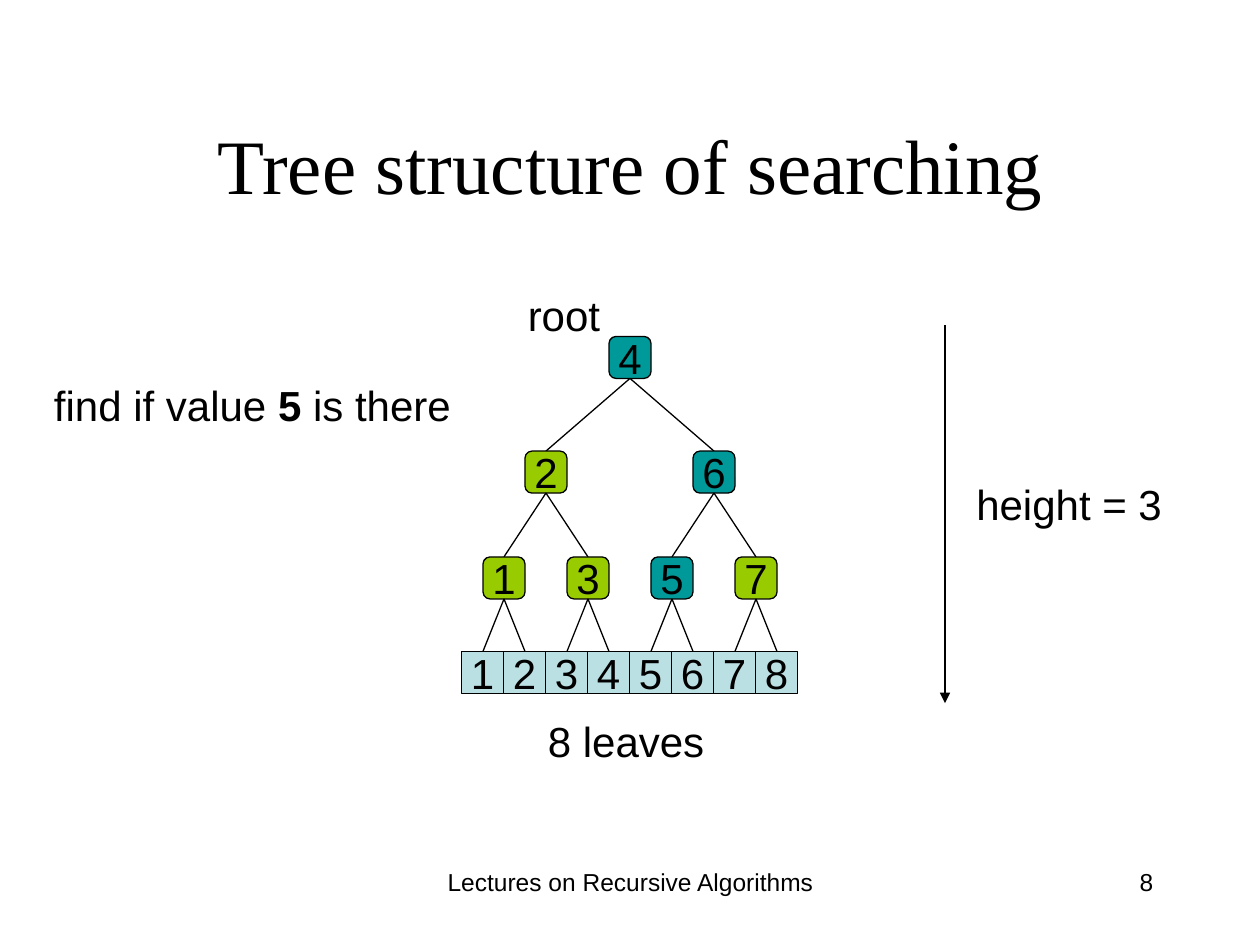
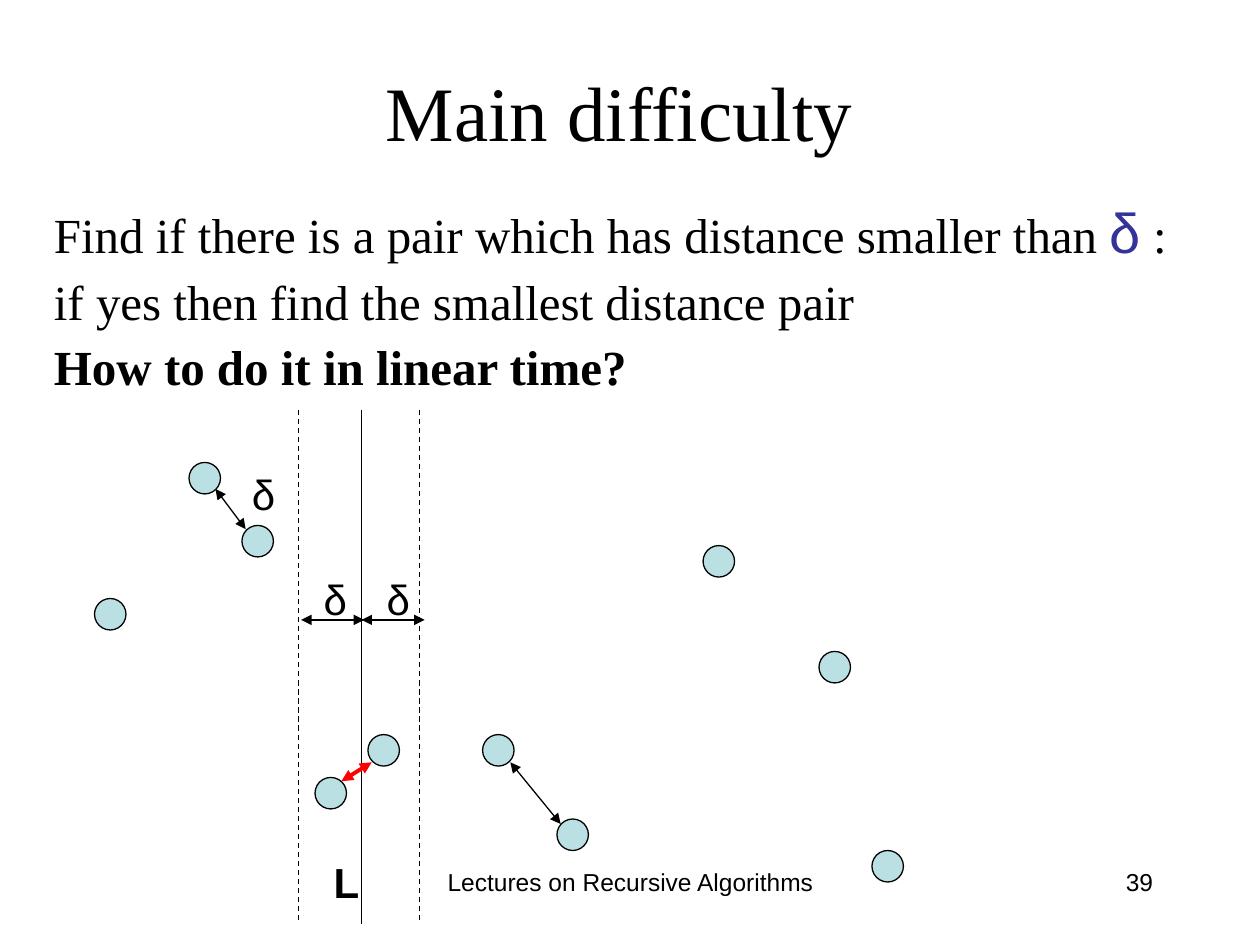
from dataclasses import dataclass
from lxml import etree
from pptx import Presentation
from pptx import util as u
from pptx.dml.color import RGBColor
from pptx.enum import dml, shapes, text
from pptx.oxml.ns import qn


@dataclass(frozen=True)
class Theme:
    ink: str = "000000"
    pale: str = "BBE0E3"
    lime: str = "99CC00"
    teal: str = "009999"
    blue: str = "333399"
    red: str = "FF0000"
    sans: str = "Arial"
    serif: str = "Times New Roman"
    title: int = 44
    symbol: int = 32
    body: int = 28
    label: int = 24
    foot: int = 14
    thin: float = 0.75
    thick: float = 2.25


T = Theme()
MID, LEFT, RIGHT = text.PP_ALIGN.CENTER, text.PP_ALIGN.LEFT, text.PP_ALIGN.RIGHT
BOX, ROUND, DOT = (shapes.MSO_SHAPE.RECTANGLE, shapes.MSO_SHAPE.ROUNDED_RECTANGLE,
                   shapes.MSO_SHAPE.OVAL)
LABEL = {"size": u.Pt(T.label), "name": T.sans}
BOLD = {**LABEL, "bold": True}
FOOT = {"size": u.Pt(T.foot), "name": T.sans}
TITLE = {"size": u.Pt(T.title), "name": T.serif}
BODY = {"size": u.Pt(T.body), "name": T.serif}
SYMBOL = {"size": u.Pt(T.symbol), "name": T.sans, "color": T.blue}
WRAP = {"word_wrap": True}
MIDDLE = {"word_wrap": True, "vertical_anchor": text.MSO_ANCHOR.MIDDLE}
CELL = {"word_wrap": False, "vertical_anchor": text.MSO_ANCHOR.MIDDLE}
FIT = {"word_wrap": False, "auto_size": text.MSO_AUTO_SIZE.SHAPE_TO_FIT_TEXT}


def put(page, at, rows=(), frame=FIT, para=None, kind=None, fill=T.pale):
    at = [u.Inches(n) for n in at]
    if kind is None:
        item = page.shapes.add_textbox(*at)
    else:
        item = page.shapes.add_shape(kind, *at)
        item.shadow.inherit = False
        item.fill.solid()
        item.fill.fore_color.rgb = RGBColor.from_string(fill)
        item.line.color.rgb = RGBColor.from_string(T.ink)
        item.line.width = u.Pt(T.thin)
    body = item.text_frame
    for key, value in frame.items():
        setattr(body, key, value)
    for i, row in enumerate(rows):
        line = body.add_paragraph() if i else body.paragraphs[0]
        for key, value in (para or {"alignment": LEFT}).items():
            setattr(line, key, value)
        for words, style in row:
            run = line.add_run()
            run.text = words
            for key, value in style.items():
                if key != "color":
                    setattr(run.font, key, value)
            run.font.color.rgb = RGBColor.from_string(style.get("color", T.ink))


def link(page, start, end, tips=(), color=T.ink, width=T.thin, dash=None):
    line = page.shapes.add_connector(
        shapes.MSO_CONNECTOR.STRAIGHT, *[u.Inches(n) for n in (*start, *end)])
    line.line.color.rgb = RGBColor.from_string(color)
    line.line.width = u.Pt(width)
    if dash:
        line.line.dash_style = dash
    props = line.element.spPr
    for tip in tips:
        etree.SubElement(props.find(qn("a:ln")), qn(f"a:{tip}"), type="triangle")
    etree.SubElement(props, qn("a:effectLst"))


deck = Presentation()
deck.slide_width, deck.slide_height = u.Inches(10), u.Inches(7.5)
pages = []
for name, number, left, top in (("Tree structure of searching", "8", 0.42, 0.67),
                                ("Main difficulty", "39", 0.33, 0.25)):
    page = deck.slides.add_slide(deck.slide_layouts[6])
    put(page, (3.42, 6.83, 3.17, 0.5), [[("Lectures on Recursive Algorithms", FOOT)]],
        WRAP, {"alignment": MID})
    put(page, (7.17, 6.83, 2.08, 0.5), [[(number, FOOT)]], WRAP, {"alignment": RIGHT})
    put(page, (left, top, 9.17, 1.25), [[(name, TITLE)]], MIDDLE, {"alignment": MID})
    pages.append(page)
tree, plane = pages

side = 1 / 3
tops = [2.67, 3.58, 4.42, 5.17]
levels = [[4], [2, 6], [1, 3, 5, 7]]
trail = {4, 6, 5}
for leaf in range(1, 9):
    put(tree, (3.33 + leaf * side, tops[3], side, side), [[(str(leaf), LABEL)]],
        CELL, {"alignment": MID}, BOX)
for depth, keys in enumerate(levels):
    spread = 2 * side / 2 ** depth
    for key in keys:
        mid = 5 + (key - 4) * side
        put(tree, (mid - side / 2, tops[depth], side, side), [[(str(key), LABEL)]],
            CELL, {"alignment": MID}, ROUND, T.teal if key in trail else T.lime)
        for sign in (-1, 1):
            link(tree, (mid + sign * spread, tops[depth + 1]), (mid, tops[depth] + side))
link(tree, (7.5, 5.58), (7.5, 2.58), ["headEnd"])
for words, at in (("height = 3", (7.65, 3.75, 1.75, 0.5)),
                  ("root", (4.09, 2.25, 0.85, 0.5)),
                  ("8 leaves", (4.25, 5.63, 1.5, 0.5))):
    put(tree, at, [[(words, LABEL)]])
put(tree, (0.33, 2.96, 3.45, 0.5),
    [[("find if value ", LABEL), ("5", BOLD), (" is there", LABEL)]])

put(plane, (0.33, 1.58, 9.17, 2.17), [
    [("Find if there is a pair which has distance smaller than ", BODY),
     ("δ", SYMBOL), (" :", BODY)],
    [("if yes then find the smallest distance pair", BODY)],
    [("How to do it in linear time?", {**BODY, "bold": True})],
], WRAP, {"alignment": LEFT, "line_spacing": 0.9, "space_before": u.Pt(7)})
for left, top in ((0.75, 4.75), (1.5, 3.67), (6.5, 5.17), (1.92, 4.17), (2.5, 6.17),
                  (2.92, 5.83), (3.83, 5.83), (4.42, 6.5), (5.58, 4.33), (6.92, 6.75)):
    put(plane, (left, top, 0.25, 0.25), kind=DOT)
for x, dash in ((2.87, None), (3.33, dml.MSO_LINE.DASH), (2.37, dml.MSO_LINE.DASH)):
    link(plane, (x, 3.25), (x, 7.33), dash=dash)
both = ["headEnd", "tailEnd"]
for start, end in (((1.71, 3.88), (1.95, 4.2)), ((4.05, 6.05), (4.45, 6.54)),
                   ((2.39, 4.92), (2.89, 4.92)), ((2.87, 4.92), (3.37, 4.92))):
    link(plane, start, end, both)
link(plane, (2.71, 6.2), (2.95, 6.05), both, T.red, T.thick)
for left, top in ((1.9, 3.67), (2.47, 4.5), (2.97, 4.5)):
    put(plane, (left, top, 0.36, 0.5), [[("δ", LABEL)]])
put(plane, (2.55, 6.75, 0.4, 0.5), [[("L", BOLD)]])

deck.save("out.pptx")
